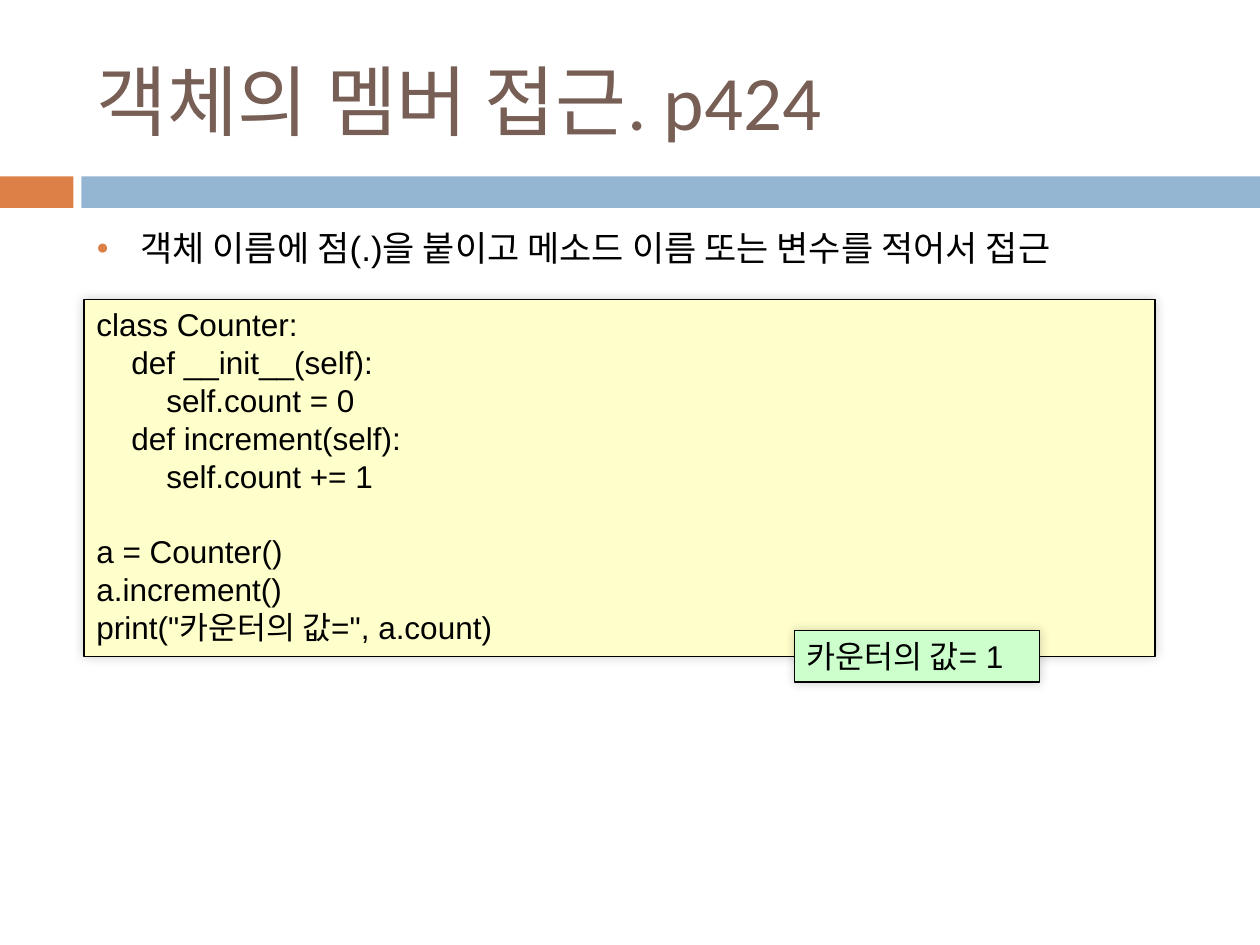
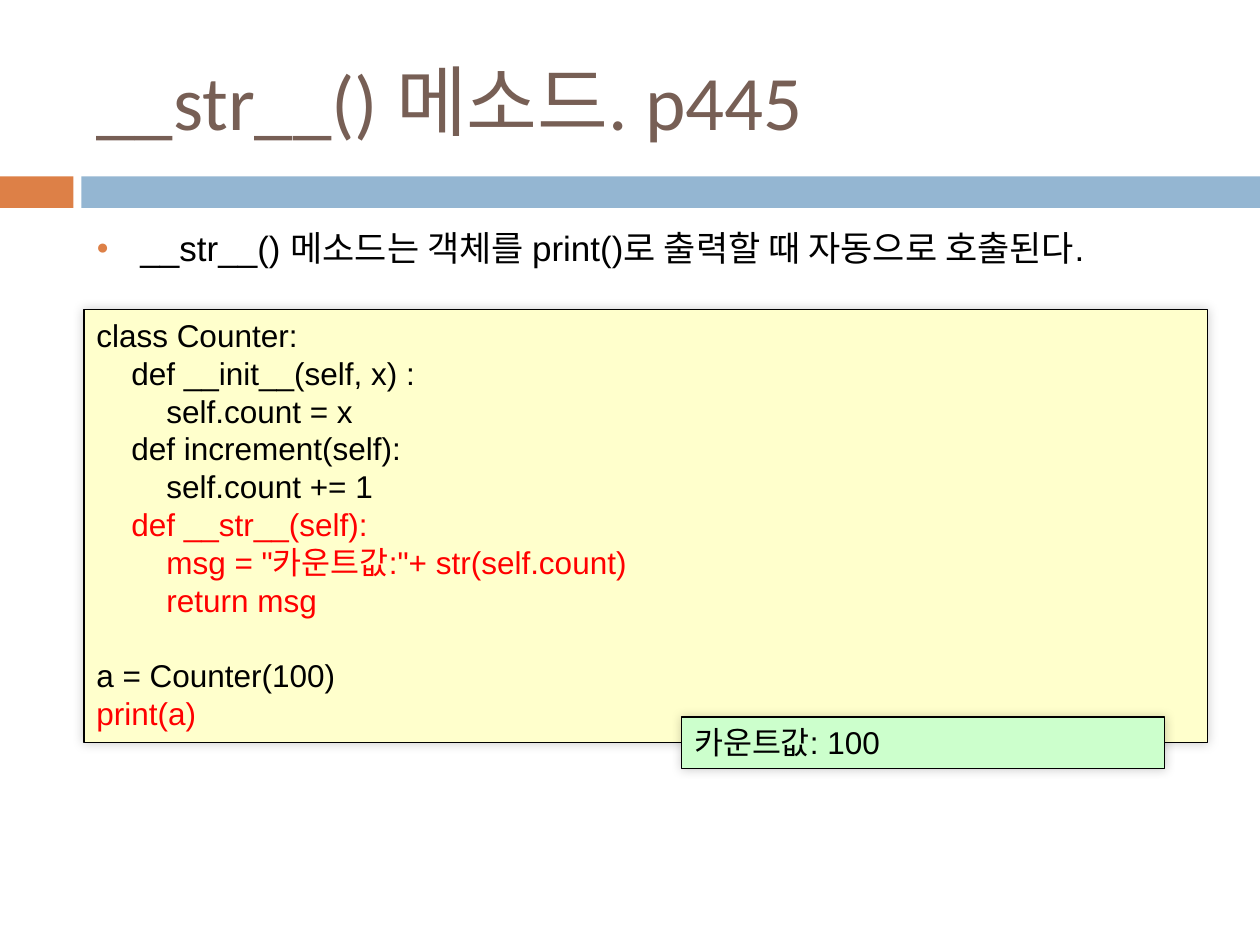
from lxml import etree
from pptx import Presentation
from pptx.dml.color import RGBColor
from pptx.enum import shapes, text
from pptx.oxml.ns import qn
from pptx.util import Pt

# Content: code lines are (indent level, text, highlighted); None is an empty line
SLIDES = [
    {
        "title": "객체의 멤버 접근. p424",
        "point": "객체 이름에 점(.)을 붙이고 메소드 이름 또는 변수를 적어서 접근",
        "body_height": 369,
        "code": [
            (0, "class Counter:", False),
            (1, "def __init__(self):", False),
            (2, "self.count = 0", False),
            (1, "def increment(self):", False),
            (2, "self.count += 1", False),
            None,
            (0, "a = Counter()", False),
            (0, "a.increment()", False),
            (0, 'print("카운터의 값=", a.count)', False),
        ],
        "code_box": (171, 612, 204),  # top, width, height
        "result": "카운터의 값= 1",
        "result_box": (454, 140),  # left, width
    },
    {
        "title": "__str__() 메소드. p445",
        "point": "__str__() 메소드는 객체를 print()로 출력할 때 자동으로 호출된다.",
        "body_height": 354,
        "code": [
            (0, "class Counter:", False),
            (1, "def __init__(self, x) :", False),
            (2, "self.count = x", False),
            (1, "def increment(self):", False),
            (2, "self.count += 1", False),
            (1, "def __str__(self):", True),
            (2, 'msg = "카운트값:"+ str(self.count)', True),
            (2, "return msg", True),
            None,
            (0, "a = Counter(100)", False),
            (0, "print(a)", True),
        ],
        "code_box": (177, 642, 247.5),
        "result": "카운트값: 100",
        "result_box": (389.5, 276),
    },
]

# Shared look
WIDTH, HEIGHT = 720, 540
LEFT, TEXT_WIDTH = 48, 642
BAND_TOP, BAND_HEIGHT = 100.8, 18
BANDS = [(0, 42, "DD8047"), (46.5, WIDTH - 46.5, "94B6D2")]
BLACK, RED, BROWN, ORANGE = "000000", "FF0000", "775F55", "DD8047"
CODE_FILL, RESULT_FILL = "FFFFCC", "CCFFCC"
CODE_SIZE, LINE_PITCH, INDENT = 18, 21.6, 20
RESULT_HEIGHT = 29.5


def color(value):
    return RGBColor.from_string(value)


def add_run(p, content, size, font, fill):
    r = p.add_run()
    r.text = content
    r.font.size = Pt(size)
    r.font.name = font
    r.font.color.rgb = color(fill)


def add_rect(s, left, top, width, height, fill):
    sp = s.shapes.add_shape(shapes.MSO_SHAPE.RECTANGLE,
                            Pt(left), Pt(top), Pt(width), Pt(height))
    sp.shadow.inherit = False
    sp.fill.solid()
    sp.fill.fore_color.rgb = color(fill)
    sp.line.fill.background()
    return sp


def add_text_box(s, top, height):
    tf = s.shapes.add_textbox(Pt(LEFT), Pt(top), Pt(TEXT_WIDTH), Pt(height)).text_frame
    tf.word_wrap = True
    return tf


def add_glow(sp):
    """Soft shadow around a panel."""
    effects = sp._element.spPr.find(qn("a:effectLst"))
    shadow = etree.SubElement(effects, qn("a:outerShdw"), blurRad=str(Pt(6)),
                              dist="0", dir="18900000", rotWithShape="0")
    rgb = etree.SubElement(shadow, qn("a:srgbClr"), val=BLACK)
    etree.SubElement(rgb, qn("a:alpha"), val="20000")


def add_panel(s, left, top, width, height, fill, lines):
    sp = add_rect(s, left, top, width, height, fill)
    sp.line.color.rgb = color(BLACK)
    sp.line.width = Pt(0.75)
    add_glow(sp)
    tf = sp.text_frame
    tf.word_wrap = True
    tf.vertical_anchor = text.MSO_ANCHOR.TOP
    p, gap = None, 0
    for line in lines:
        if line is None:
            gap = LINE_PITCH
            continue
        level, content, highlighted = line
        p = tf.paragraphs[0] if p is None else tf.add_paragraph()
        p.alignment = text.PP_ALIGN.LEFT
        p.line_spacing = Pt(LINE_PITCH)
        p.space_before = Pt(gap)
        p._p.get_or_add_pPr().set("marL", str(Pt(level * INDENT)))
        add_run(p, content, CODE_SIZE, "Arial", RED if highlighted else BLACK)
        gap = 0


def add_bullet(p):
    pPr = p._p.get_or_add_pPr()
    pPr.set("marL", str(Pt(25.2)))
    pPr.set("indent", str(-Pt(25.2)))
    clr = etree.SubElement(pPr, qn("a:buClr"))
    etree.SubElement(clr, qn("a:srgbClr"), val=ORANGE)
    etree.SubElement(pPr, qn("a:buSzPct"), val="60000")
    etree.SubElement(pPr, qn("a:buFont"), typeface="Arial")
    etree.SubElement(pPr, qn("a:buChar"), char="●")


def build_slide(prs, data):
    s = prs.slides.add_slide(prs.slide_layouts[6])

    # Bands and title
    for left, width, fill in BANDS:
        add_rect(s, left, BAND_TOP, width, BAND_HEIGHT, fill)
    tf = add_text_box(s, 18, 78)
    tf.vertical_anchor = text.MSO_ANCHOR.MIDDLE
    add_run(tf.paragraphs[0], data["title"], 44, "Calibri", BROWN)

    # Code panel, with the result centred on its bottom edge
    top, width, height = data["code_box"]
    add_panel(s, LEFT, top, width, height, CODE_FILL, data["code"])
    left, width = data["result_box"]
    add_panel(s, left, top + height - RESULT_HEIGHT / 2, width, RESULT_HEIGHT,
              RESULT_FILL, [(0, data["result"], False)])

    # Bullet point
    p = add_text_box(s, 126, data["body_height"]).paragraphs[0]
    p.space_before = Pt(7)
    add_bullet(p)
    add_run(p, data["point"], 20, "Arial", BLACK)


def main():
    prs = Presentation()
    prs.slide_width, prs.slide_height = Pt(WIDTH), Pt(HEIGHT)
    for data in SLIDES:
        build_slide(prs, data)
    prs.save("out.pptx")


if __name__ == "__main__":
    main()
